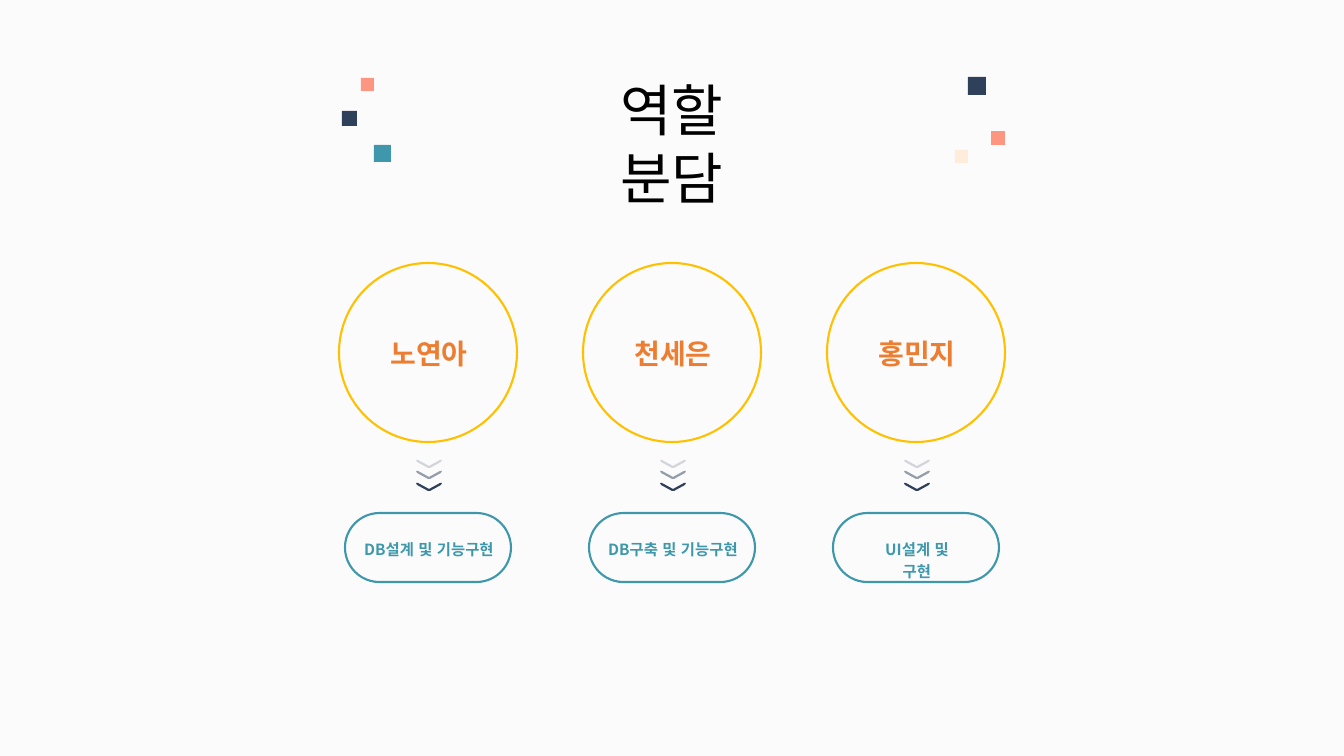
import pptx
import pptx.util
import pptx.dml.color
import pptx.enum.dml
import pptx.enum.lang
import pptx.enum.shapes
import pptx.enum.text
import pptx.oxml
import pptx.oxml.ns

PX = 914400 / 100.8
FONT = "Noto Sans CJK KR"
RGBColor = pptx.dml.color.RGBColor
BACKGROUND = RGBColor(0xFB, 0xFB, 0xFB)
BLACK = RGBColor(0, 0, 0)
TEAL = RGBColor(0x3F, 0x97, 0xAB)
CORAL = RGBColor(0xFC, 0x96, 0x80)
NAVY = RGBColor(0x2E, 0x40, 0x5A)
CREAM = RGBColor(0xFF, 0xEC, 0xDB)
GOLD = RGBColor(0xFF, 0xC0, 0x00)
ORANGE = RGBColor(0xED, 0x7D, 0x31)

CONFETTI = [
    (374, 145, 17, TEAL), (361, 78, 13, CORAL), (991, 131, 14, CORAL),
    (968, 77, 18, NAVY), (955, 150, 13, CREAM), (342, 111, 15, NAVY),
]
ROLES = [
    ("노연아", "DB설계 및 기능구현", 150),
    ("천세은", "DB구축 및 기능구현", 150),
    ("홍민지", "UI설계 및 구현", 116),
]
CHEVRON = [(-11, 0), (0, 6), (11, 0), (13, 0), (12, 2),
           (1, 8), (-1, 8), (-12, 2), (-13, 0)]
CHEVRON_ALPHAS = [20, 50, 100]
ROLE_PITCH = 244


def px(value):
    return pptx.util.Emu(round(value * PX))


def apply_values(target, values):
    for name, value in values.items():
        setattr(target, name, value)


def place(shape, box):
    apply_values(shape, dict(zip(("left", "top", "width", "height"), map(px, box))))


def write_text(shape, text, size, color, bold=False, line_spacing=1.0):
    frame = shape.text_frame
    apply_values(frame, {
        "word_wrap": True,
        "auto_size": pptx.enum.text.MSO_AUTO_SIZE.SHAPE_TO_FIT_TEXT,
        "vertical_anchor": pptx.enum.text.MSO_ANCHOR.TOP,
        "margin_left": px(10), "margin_right": px(10),
        "margin_top": px(5), "margin_bottom": px(5),
    })
    paragraph = frame.paragraphs[0]
    apply_values(paragraph, {
        "alignment": pptx.enum.text.PP_ALIGN.CENTER,
        "line_spacing": line_spacing,
    })
    run = paragraph.add_run()
    run.text = text
    apply_values(run.font, {
        "name": FONT, "size": pptx.util.Pt(size), "bold": bold,
        "language_id": pptx.enum.lang.MSO_LANGUAGE_ID.KOREAN,
    })
    run.font.color.rgb = color
    east_asian = pptx.oxml.parse_xml(
        f'<a:ea {pptx.oxml.ns.nsdecls("a")} typeface="{FONT}"/>')
    run.font._element.find(pptx.oxml.ns.qn("a:latin")).addnext(east_asian)


def add_label(slide, box, text, size, color):
    label = slide.shapes.add_textbox(*map(px, box))
    write_text(label, text, size, color, bold=True, line_spacing=1.2)


def add_outline(slide, kind, box, color):
    shape = slide.shapes.add_shape(kind, *map(px, box))
    shape.shadow.inherit = False
    shape.fill.background()
    shape.line.color.rgb = color
    shape.line.width = pptx.util.Pt(1.5)
    return shape


def add_title(slide, box):
    title = slide.shapes.title
    place(title, box)
    write_text(title, "역할분담", 40, BLACK)


def add_confetti(slide):
    for left, top, side, color in CONFETTI:
        square = slide.shapes.add_shape(
            pptx.enum.shapes.MSO_SHAPE.RECTANGLE, *map(px, (left, top, side, side)))
        square.shadow.inherit = False
        square.fill.solid()
        square.fill.fore_color.rgb = color
        square.line.fill.background()


def add_chevrons(slide, center, top):
    group = slide.shapes.add_group_shape()
    for index, alpha in enumerate(CHEVRON_ALPHAS):
        offset = top + index * 23 // 2
        points = [(center + x, offset + y) for x, y in CHEVRON]
        builder = group.shapes.build_freeform(*points[0], scale=PX)
        builder.add_line_segments(points[1:], close=True)
        chevron = builder.convert_to_shape()
        chevron.shadow.inherit = False
        chevron.fill.solid()
        chevron.fill.fore_color.rgb = NAVY
        chevron.line.fill.background()
        if alpha < 100:
            color = chevron._element.spPr.find(".//" + pptx.oxml.ns.qn("a:srgbClr"))
            color.append(pptx.oxml.parse_xml(
                f'<a:alpha {pptx.oxml.ns.nsdecls("a")} val="{alpha * 1000}"/>'))


def add_role(slide, box, name, duty, duty_width):
    left, top, width, height = box
    center = left + width // 2 + 1
    shapes = pptx.enum.shapes.MSO_SHAPE
    add_outline(slide, shapes.OVAL, (left, top, width, 179), GOLD)
    add_label(slide, (center - 50, top + 62, 100, 47), name, 20, ORANGE)
    add_chevrons(slide, center, top + 197)
    pill_top = top + height - 69
    pill = add_outline(slide, shapes.ROUNDED_RECTANGLE,
                       (left + 6, pill_top, 166, 69), TEAL)
    pill.adjustments[0] = 0.5
    add_label(slide, (center - duty_width // 2, pill_top + 18, duty_width, 32),
              duty, 11, TEAL)


def main():
    presentation = pptx.Presentation()
    presentation.slide_width = px(1344)
    presentation.slide_height = px(756)
    slide = presentation.slides.add_slide(presentation.slide_layouts[5])
    slide.background.fill.solid()
    slide.background.fill.fore_color.rgb = BACKGROUND
    add_title(slide, (590, 71, 164, 78))
    add_confetti(slide)
    for index, role in enumerate(ROLES):
        add_role(slide, (339 + index * ROLE_PITCH, 263, 178, 319), *role)
    presentation.save("out.pptx")


if __name__ == "__main__":
    main()
